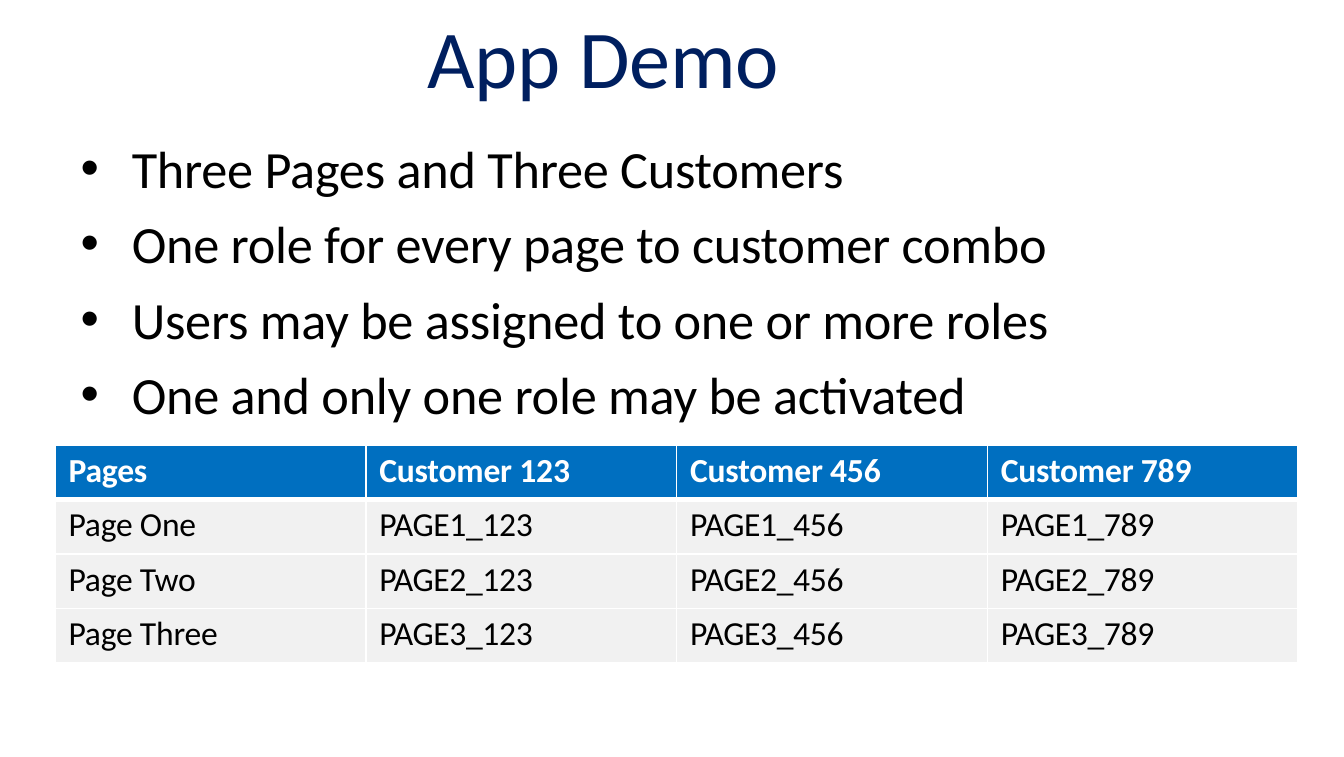
"""Build the App Demo slide with its role list and page-to-customer table."""
import pptx
import pptx.dml.color
import pptx.enum.text
import pptx.oxml
import pptx.oxml.ns
import pptx.util
from pptx.util import Inches

RGBColor = pptx.dml.color.RGBColor
NAVY = RGBColor(0x00, 0x1F, 0x5F)
BLUE = RGBColor(0x00, 0x6F, 0xC0)
GREY = RGBColor(0xF1, 0xF1, 0xF1)
BLACK = RGBColor(0, 0, 0)
WHITE = RGBColor(0xFF, 0xFF, 0xFF)

POINTS = [
    "Three Pages and Three Customers",
    "One role for every page to customer combo",
    "Users may be assigned to one or more roles",
    "One and only one role may be activated",
]
PAGES = ["One", "Two", "Three"]
CUSTOMERS = ["123", "456", "789"]


def format_paragraph(paragraph, size, color, margin, indent=0, bold=False, spacing=-0.1):
    properties = paragraph._p.get_or_add_pPr()
    properties.set("marL", str(Inches(margin)))
    properties.set("indent", str(Inches(indent)))
    paragraph.alignment = pptx.enum.text.PP_ALIGN.LEFT
    for run in paragraph.runs:
        run.font.name = "Calibri"
        run.font.size = pptx.util.Pt(size)
        run.font.bold = bold
        run.font.color.rgb = color
        run._r.get_or_add_rPr().set("spc", str(round(spacing * 100)))


def place_text(placeholder, left, top, width, height, inset, text):
    placeholder.left, placeholder.top = Inches(left), Inches(top)
    placeholder.width, placeholder.height = Inches(width), Inches(height)
    frame = placeholder.text_frame
    frame.margin_left = frame.margin_right = frame.margin_bottom = 0
    frame.margin_top = Inches(inset)
    frame.vertical_anchor = pptx.enum.text.MSO_ANCHOR.TOP
    frame.auto_size = pptx.enum.text.MSO_AUTO_SIZE.NONE
    frame.word_wrap = True
    frame.text = text
    return frame.paragraphs


def add_title(slide):
    heading = place_text(slide.shapes.title, 2.18, 0.03, 5.64, 0.76, 0.02, "App Demo")[0]
    format_paragraph(heading, 44, NAVY, 1)


def add_points(slide):
    points = place_text(slide.placeholders[1], 0.59, 0.9, 7.3, 2.27, 0.11, "\n".join(POINTS))
    for index, point in enumerate(points):
        point.space_before = pptx.util.Pt(6.8 if index else 0)
        format_paragraph(point, 28, BLACK, 0.39, -0.38)


def set_borders(cell, widths):
    properties = cell._tc.get_or_add_tcPr()
    for position, (side, width) in enumerate(widths.items()):
        border = pptx.oxml.parse_xml(
            f'<a:ln{side} {pptx.oxml.ns.nsdecls("a")} w="{pptx.util.Pt(width)}">'
            f'<a:solidFill><a:srgbClr val="{WHITE}"/></a:solidFill></a:ln{side}>'
        )
        properties.insert(position, border)


def fill_cell(cell, text, row, column):
    header = row == 0
    cell.margin_left = cell.margin_right = cell.margin_bottom = 0
    cell.margin_top = Inches(0.04)
    cell.text = text
    format_paragraph(
        cell.text_frame.paragraphs[0], 18, WHITE if header else BLACK, 0.1,
        bold=header, spacing=-0.2 if row and column else -0.1,
    )
    cell.fill.solid()
    cell.fill.fore_color.rgb = BLUE if header else GREY
    set_borders(cell, {"L": 1, "R": 1, "T": 3 if row == 1 else 1, "B": 3 if header else 1})


def add_role_table(slide):
    rows = [["Pages"] + [f"Customer {customer}" for customer in CUSTOMERS]]
    for number, page in enumerate(PAGES, 1):
        rows.append([f"Page {page}"] + [f"PAGE{number}_{customer}" for customer in CUSTOMERS])
    roles = slide.shapes.add_table(
        len(rows), len(rows[0]), Inches(0.41), Inches(3.31), Inches(9.25), Inches(1.62)
    ).table
    roles.horz_banding = False
    for row, texts in enumerate(rows):
        for column, text in enumerate(texts):
            fill_cell(roles.cell(row, column), text, row, column)


def main():
    presentation = pptx.Presentation()
    presentation.slide_width, presentation.slide_height = Inches(10), Inches(5.63)
    slide = presentation.slides.add_slide(presentation.slide_layouts[1])
    add_title(slide)
    add_points(slide)
    add_role_table(slide)
    presentation.save("out.pptx")


if __name__ == "__main__":
    main()
